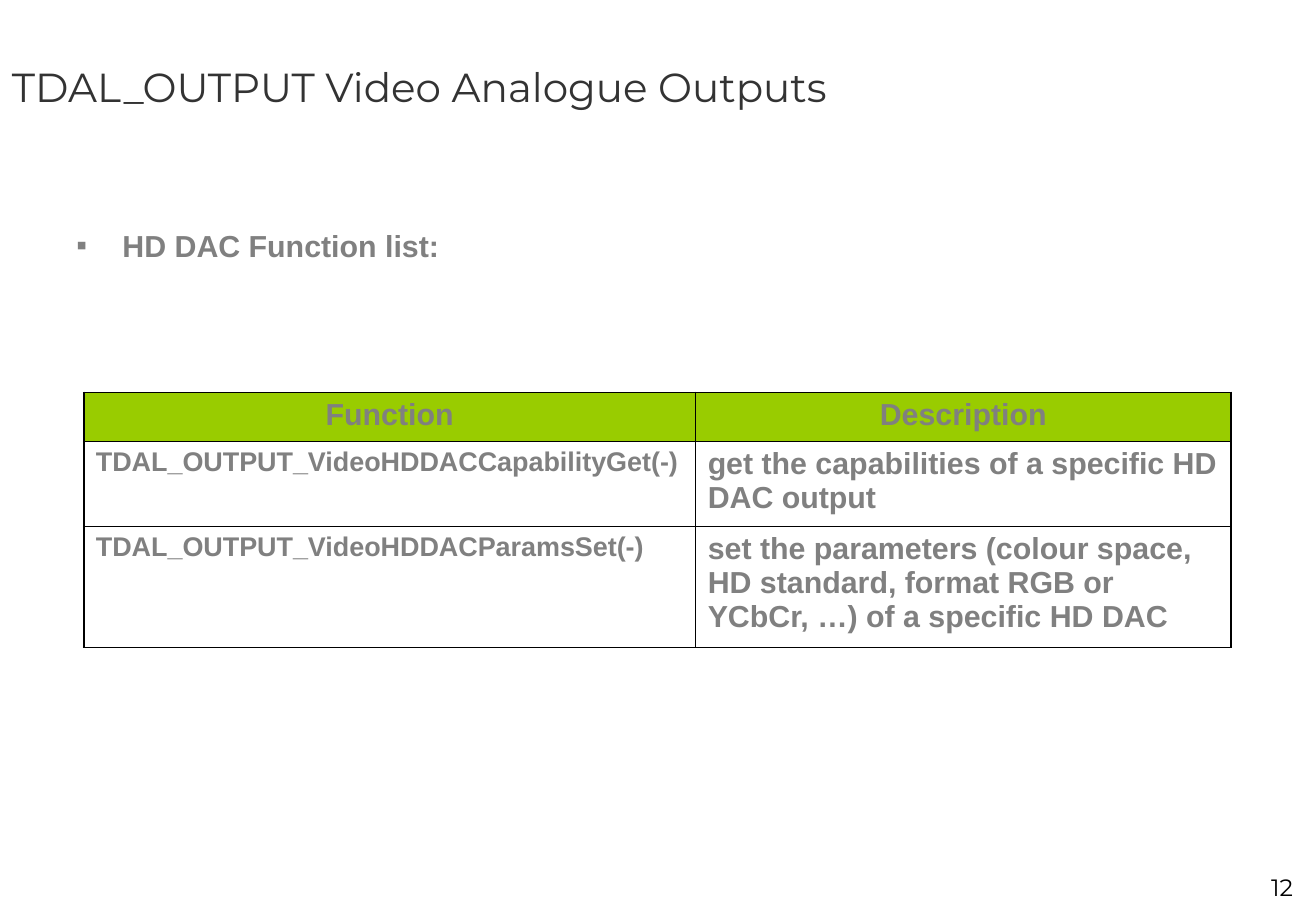
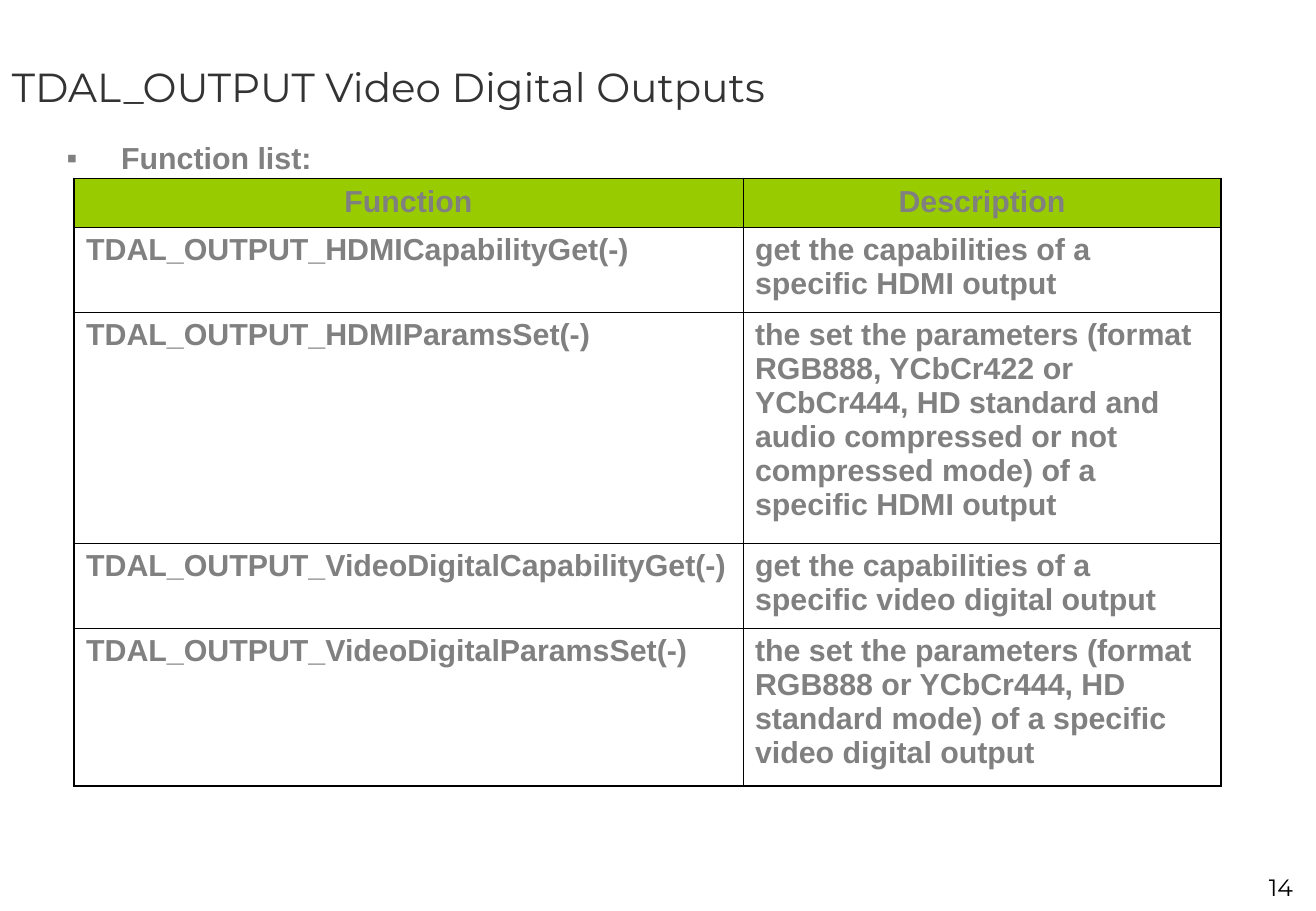
from dataclasses import dataclass

from lxml import etree
from pptx import Presentation
from pptx import util as u
from pptx.dml.color import RGBColor
from pptx.enum import text as t
from pptx.oxml import ns

WIDE, HIGH = 10.84, 7.5
INK = RGBColor(0x33, 0x33, 0x33)
GREY = RGBColor(0x80, 0x80, 0x80)
GREEN = RGBColor(0x99, 0xCC, 0x00)
BLACK = RGBColor(0, 0, 0)
HEAD, BODY = "Montserrat", "Arial"
THICK, THIN = 1.08, 0.45
ALIGN = t.PP_ALIGN


@dataclass
class Page:
    title: str
    lead: str
    spot: tuple[float, float]
    hang: float
    grid: tuple[float, float]
    cols: list[float]
    rows: list[float]
    size: int
    calls: list[tuple[str, str]]
    num: int


PAGES = [
    Page("TDAL_OUTPUT Video Analogue Outputs", "HD DAC Function list:",
         (0.53, 1.82), 0.38, (0.69, 3.23), [5.04, 4.41], [0.4, 0.7, 1], 16, [
             ("TDAL_OUTPUT_VideoHDDACCapabilityGet(-)",
              "get the capabilities of a specific HD DAC output"),
             ("TDAL_OUTPUT_VideoHDDACParamsSet(-)",
              "set the parameters (colour space, HD standard, format RGB or "
              "YCbCr, …) of a specific HD DAC"),
         ], 12),
    Page("TDAL_OUTPUT Video Digital Outputs", "Function list:",
         (0.45, 1.1), 0.45, (0.61, 1.47), [5.51, 3.94],
         [0.4, 0.7, 1.9, 0.7, 1.3], 18, [
             ("TDAL_OUTPUT_HDMICapabilityGet(-)",
              "get the capabilities of a specific HDMI output"),
             ("TDAL_OUTPUT_HDMIParamsSet(-)",
              "the set the parameters (format RGB888, YCbCr422 or YCbCr444, "
              "HD standard and audio compressed or not compressed mode) of a "
              "specific HDMI output"),
             ("TDAL_OUTPUT_VideoDigitalCapabilityGet(-)",
              "get the capabilities of a specific video digital output"),
             ("TDAL_OUTPUT_VideoDigitalParamsSet(-)",
              "the set the parameters (format RGB888 or YCbCr444, HD standard "
              "mode) of a specific video digital output"),
         ], 14),
]


def node(parent, tag: str, **attrs: str):
    return etree.SubElement(parent, ns.qn(tag), attrs)


def write(frame, text: str, *, size: int = 18, font: str = BODY,
          color: RGBColor = GREY, bold: bool = True,
          align: ALIGN = ALIGN.LEFT, hang: float = 0) -> None:
    """Fill a text frame; a hang above zero adds a square bullet."""
    frame.word_wrap = True
    para = frame.paragraphs[0]
    para.alignment = align
    if hang:
        props = para._p.get_or_add_pPr()
        props.set("marL", str(u.Inches(hang)))
        props.set("indent", str(-u.Inches(hang)))
        node(node(props, "a:buClr"), "a:srgbClr", val=str(GREY))
        node(props, "a:buFont", typeface=BODY)
        node(props, "a:buChar", char="▪")
    run = para.add_run()
    run.text = text
    run.font.size = u.Pt(size)
    run.font.name = font
    run.font.bold = bold
    run.font.color.rgb = color


def box(slide, left: float, top: float, width: float, height: float):
    shape = slide.shapes.add_textbox(*map(u.Inches, (left, top, width, height)))
    return shape.text_frame


def edge(cell, side: str, width: float) -> None:
    line = node(cell._tc.get_or_add_tcPr(), f"a:ln{side}", w=str(u.Pt(width)))
    node(node(line, "a:solidFill"), "a:srgbClr", val=str(BLACK))


def table(slide, page: Page) -> None:
    data = [("Function", "Description"), *page.calls]
    area = (*page.grid, sum(page.cols), sum(page.rows))
    grid = slide.shapes.add_table(
        len(data), len(page.cols), *map(u.Inches, area)).table
    grid.first_row = grid.horz_banding = False
    for col, width in zip(grid.columns, page.cols):
        col.width = u.Inches(width)
    for row, height in zip(grid.rows, page.rows):
        row.height = u.Inches(height)
    for r, texts in enumerate(data):
        for c, text in enumerate(texts):
            cell = grid.cell(r, c)
            outer = {"L": c == 0, "R": c == len(page.cols) - 1,
                     "T": r == 0, "B": r == len(data) - 1}
            for side, rim in outer.items():
                edge(cell, side, THICK if rim else THIN)
            if r == 0:
                cell.fill.solid()
                cell.fill.fore_color.rgb = GREEN
            else:
                cell.fill.background()
            cell.margin_left = cell.margin_right = u.Inches(0.1)
            cell.margin_top = cell.margin_bottom = u.Inches(0.05)
            write(cell.text_frame, text,
                  size=page.size if r and c == 0 else 18,
                  align=ALIGN.LEFT if r else ALIGN.CENTER)


def draw(deck, page: Page) -> None:
    slide = deck.slides.add_slide(deck.slide_layouts[6])
    title = box(slide, 0, 0, WIDE, 1.42)
    title.vertical_anchor = t.MSO_ANCHOR.MIDDLE
    write(title, page.title, size=24, font=HEAD, color=INK, bold=False)
    write(box(slide, *page.spot, 4.79, 0.4), page.lead, hang=page.hang)
    table(slide, page)
    write(box(slide, 9.59, 7.14, 1.16, 0.33), str(page.num), size=14,
          font=HEAD, color=BLACK, bold=False, align=ALIGN.RIGHT)


def main() -> None:
    deck = Presentation()
    deck.slide_width, deck.slide_height = u.Inches(WIDE), u.Inches(HIGH)
    for page in PAGES:
        draw(deck, page)
    deck.save("out.pptx")


if __name__ == "__main__":
    main()
